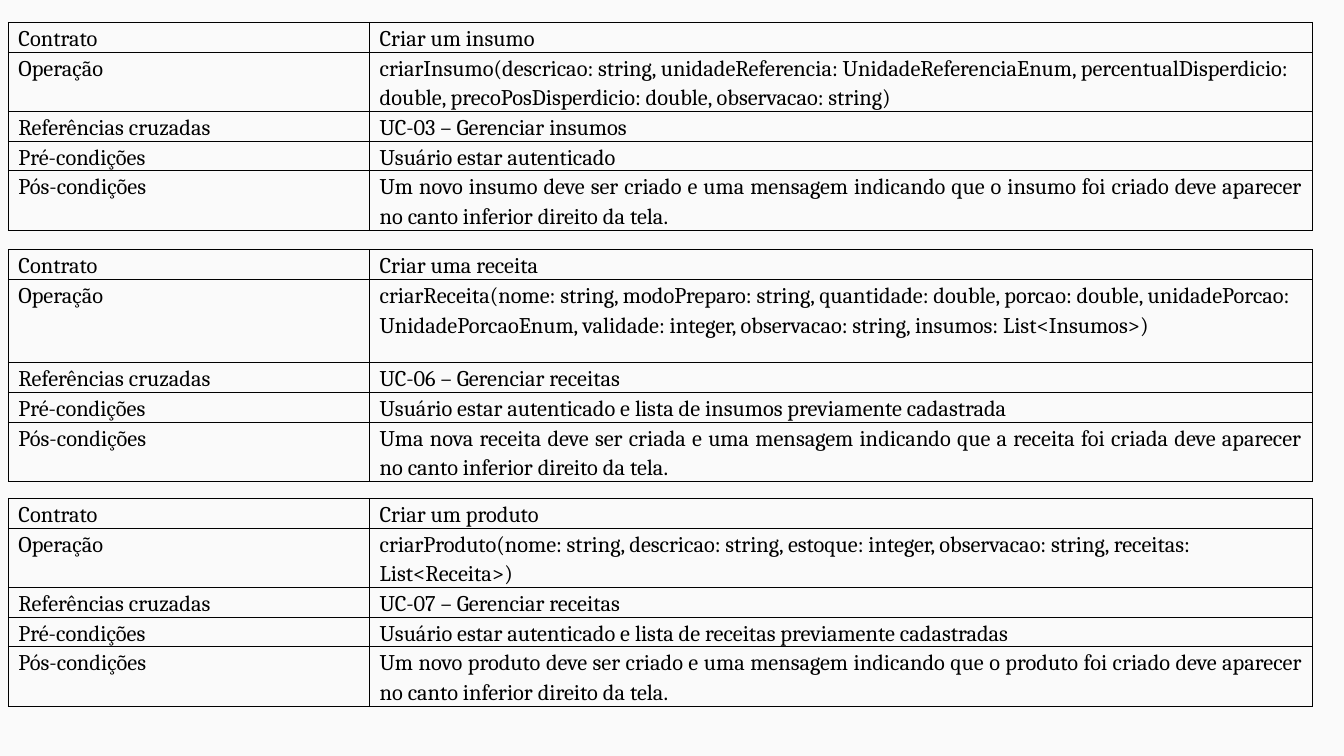
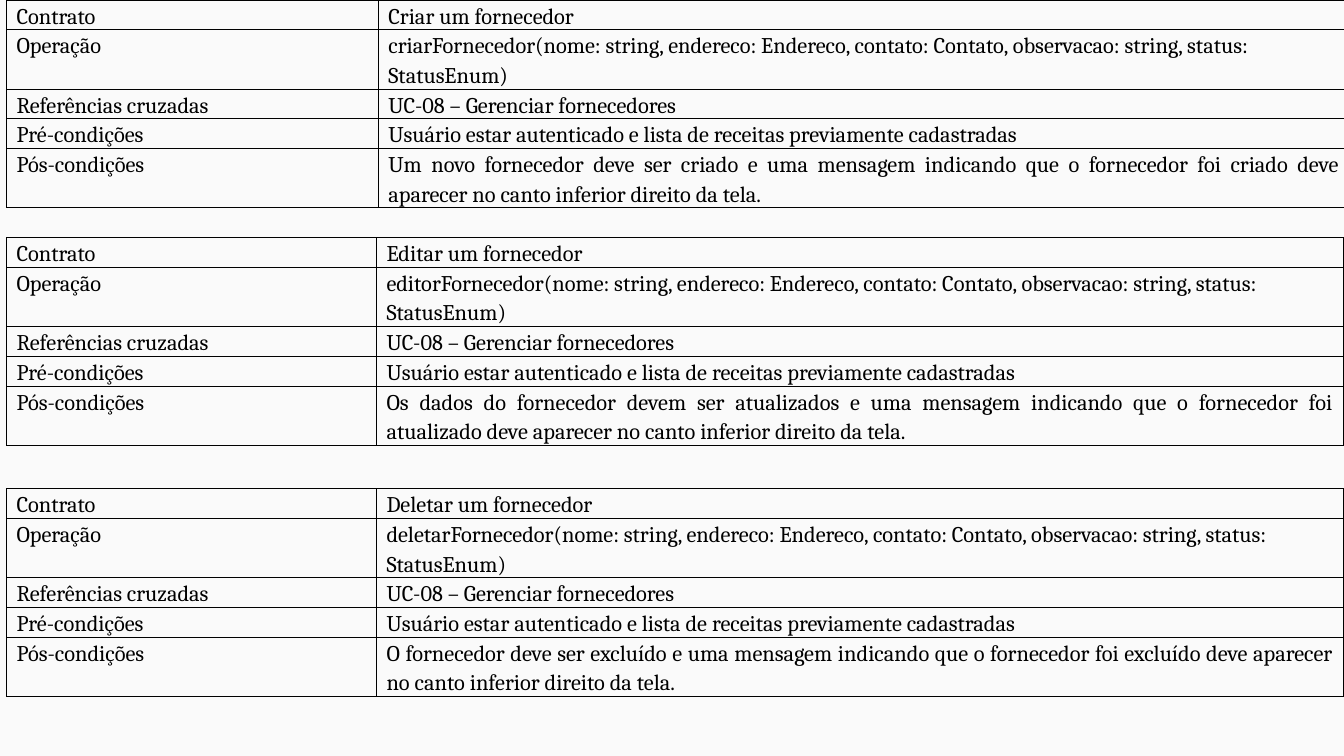
from lxml.etree import SubElement
from pptx import Presentation
from pptx.dml.color import RGBColor
from pptx.enum.text import PP_ALIGN as Align
from pptx.oxml.ns import qn
from pptx.util import Pt

PAPER, INK, FONT = "FAFAFA", "000000", "Cambria"
LINE, DOUBLE = 15, 30
LABELS = ["Contrato", "Operação", "Referências cruzadas", "Pré-condições", "Pós-condições"]
CORNER = "deve aparecer no canto inferior direito da tela."
RECIPES_LISTED = "Usuário estar autenticado e lista de receitas previamente cadastradas"
SUPPLIERS = "UC-08 – Gerenciar fornecedores"
SUPPLIER_FIELDS = ("(nome: string, endereco: Endereco, contato: Contato, "
                   "observacao: string, status: StatusEnum)")

PAGES = [
    {"left": 4.5, "contracts": [
        {"top": 12, "columns": (193.5, 505.2), "texts": [
            "Criar um insumo",
            "criarInsumo(descricao: string, unidadeReferencia: UnidadeReferenciaEnum, "
            "percentualDisperdicio: double, precoPosDisperdicio: double, observacao: string)",
            "UC-03 – Gerenciar insumos",
            "Usuário estar autenticado",
            f"Um novo insumo deve ser criado e uma mensagem indicando que o insumo foi criado {CORNER}"]},
        {"top": 133.8, "columns": (193.5, 505.2), "operation": 44.6, "texts": [
            "Criar uma receita",
            "criarReceita(nome: string, modoPreparo: string, quantidade: double, porcao: double, "
            "unidadePorcao: UnidadePorcaoEnum, validade: integer, observacao: string, "
            "insumos: List<Insumos>)",
            "UC-06 – Gerenciar receitas",
            "Usuário estar autenticado e lista de insumos previamente cadastrada",
            f"Uma nova receita deve ser criada e uma mensagem indicando que a receita foi criada {CORNER}"]},
        {"top": 267, "columns": (193.5, 505.2), "texts": [
            "Criar um produto",
            "criarProduto(nome: string, descricao: string, estoque: integer, observacao: string, "
            "receitas: List<Receita>)",
            "UC-07 – Gerenciar receitas",
            RECIPES_LISTED,
            f"Um novo produto deve ser criado e uma mensagem indicando que o produto foi criado {CORNER}"]},
    ]},
    {"left": 3.5, "contracts": [
        {"top": 0, "columns": (199.2, 520.5), "texts": [
            "Criar um fornecedor",
            f"criarFornecedor{SUPPLIER_FIELDS}",
            SUPPLIERS,
            RECIPES_LISTED,
            "Um novo fornecedor deve ser criado e uma mensagem indicando que o fornecedor "
            f"foi criado {CORNER}"]},
        {"top": 127.3, "columns": (198.2, 518.2), "texts": [
            "Editar um fornecedor",
            f"editorFornecedor{SUPPLIER_FIELDS}",
            SUPPLIERS,
            RECIPES_LISTED,
            "Os dados do fornecedor devem ser atualizados e uma mensagem indicando que o "
            f"fornecedor foi atualizado {CORNER}"]},
        {"top": 261.8, "columns": (198.2, 518.2), "texts": [
            "Deletar um fornecedor",
            f"deletarFornecedor{SUPPLIER_FIELDS}",
            SUPPLIERS,
            RECIPES_LISTED,
            "O fornecedor deve ser excluído e uma mensagem indicando que o fornecedor "
            f"foi excluído {CORNER}"]},
    ]},
]


def color(value):
    """Turn a hex string into a colour."""
    return RGBColor.from_string(value)


def add_borders(cell, value=INK, width=0.5):
    """Draw a solid line on the four sides of a cell."""
    properties = cell._tc.get_or_add_tcPr()
    for side in ("lnL", "lnR", "lnT", "lnB"):
        line = SubElement(properties, qn(f"a:{side}"), w=str(Pt(width)))
        fill = SubElement(line, qn("a:solidFill"))
        SubElement(fill, qn("a:srgbClr"), val=value)


def write_cell(cell, text, align=Align.JUSTIFY, size=12, value=INK):
    """Fill a bordered, transparent cell with one formatted paragraph."""
    cell.margin_left = cell.margin_right = Pt(5.4)
    cell.margin_top = cell.margin_bottom = 0
    add_borders(cell)
    cell.fill.background()
    para = cell.text_frame.paragraphs[0]
    para.alignment, para.line_spacing = align, 1.15
    span = para.add_run()
    span.text = text
    span.font.name, span.font.size = FONT, Pt(size)
    span.font.color.rgb = color(value)


def add_contract(page, left, top, columns, texts, operation=DOUBLE):
    """Add one operation contract as a table of labels and texts."""
    heights = [LINE, operation, LINE, LINE, DOUBLE]
    table = page.shapes.add_table(len(LABELS), 2, Pt(left), Pt(top),
                                  Pt(sum(columns)), Pt(sum(heights))).table
    table.first_row = table.horz_banding = False
    for column, width in zip(table.columns, columns):
        column.width = Pt(width)
    for index, (label, text, height) in enumerate(zip(LABELS, texts, heights)):
        table.rows[index].height = Pt(height)
        write_cell(table.cell(index, 0), label)
        write_cell(table.cell(index, 1), text,
                   align=Align.LEFT if label == "Operação" else Align.JUSTIFY)


def main():
    """Build the deck of contracts."""
    deck = Presentation()
    deck.slide_width, deck.slide_height = Pt(720), Pt(405)
    background = deck.slide_master.background.fill
    background.solid()
    background.fore_color.rgb = color(PAPER)
    for content in PAGES:
        page = deck.slides.add_slide(deck.slide_layouts[6])
        for contract in content["contracts"]:
            add_contract(page, content["left"], **contract)
    deck.save("out.pptx")


if __name__ == "__main__":
    main()
